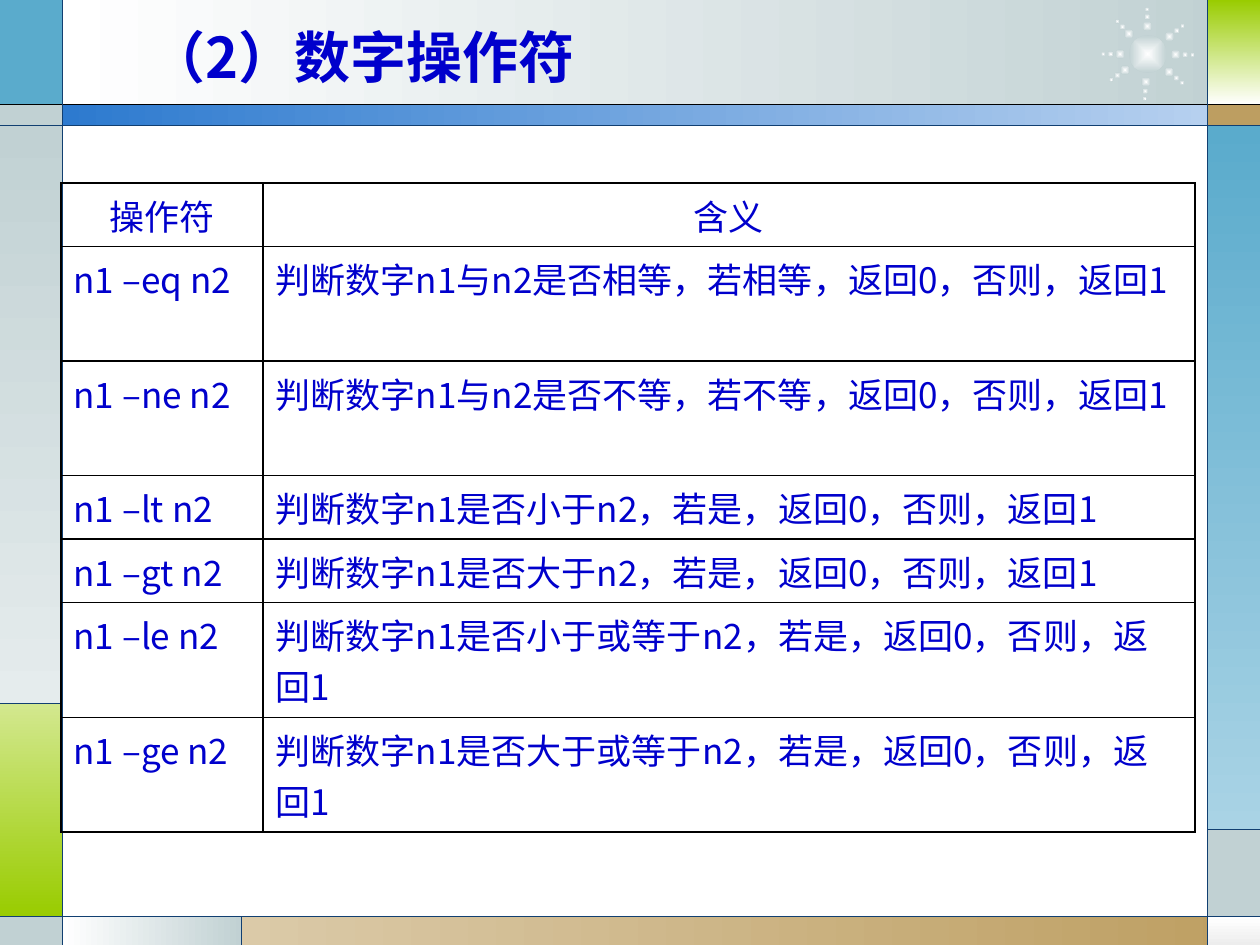
import math
import pptx
import pptx.dml.color
import pptx.enum.shapes
import pptx.enum.text
import pptx.oxml
import pptx.oxml.ns
import pptx.util
from pptx.util import Cm

qn = pptx.oxml.ns.qn
RGB = pptx.dml.color.RGBColor.from_string
KIND = pptx.enum.shapes.MSO_SHAPE
ALIGN = pptx.enum.text.PP_ALIGN

THEME = {
    "font": "Noto Sans CJK SC", "head": 32, "body": 20,
    "ink": "0000CC", "rule": "113F71", "black": "000000", "white": "FFFFFF",
    "grey": "C1D1D3", "mist": "E5ECED", "pale": "EDEDED",
    "teal": "5AABCC", "sky": "A9D3E5", "blue": "2D7ACF", "ice": "B6D0EF",
    "lime": "99CC00", "leaf": "D3E88F", "tan": "BD9E61", "sand": "DBCAA8",
}


def write(frame, text, size="body", bold=False, align=ALIGN.LEFT):
    """Put one line of styled text into a text frame."""
    para = frame.paragraphs[0]
    para.alignment = align
    run = para.add_run()
    run.text = text
    font = run.font
    font.size, font.bold = pptx.util.Pt(THEME[size]), bold
    font.name = THEME["font"]
    font.color.rgb = RGB(THEME["ink"])
    east = pptx.oxml.parse_xml(
        f'<a:ea {pptx.oxml.ns.nsdecls("a")} typeface="{THEME["font"]}"/>')
    run._r.get_or_add_rPr().append(east)


def paint(shapes, kind, box, tones, turn=0):
    """Add a borderless shape with a plain fill or a two-tone gradient."""
    shape = shapes.add_shape(kind, *[Cm(n) for n in box])
    shape.shadow.inherit = False
    shape.line.fill.background()
    if len(tones) == 1:
        shape.fill.solid()
        shape.fill.fore_color.rgb = RGB(THEME[tones[0]])
        return shape
    shape.fill.gradient()
    shape.fill.gradient_angle = -turn % 360
    for stop, tone in zip(shape.fill.gradient_stops, tones):
        stop.color.rgb = RGB(THEME[tone])
    return shape


deck = pptx.Presentation()
deck.slide_width, deck.slide_height = Cm(25.4), Cm(19.05)
slide = deck.slides.add_slide(deck.slide_layouts[6])

# Frame grid: main edges of the page
WIDE, TALL = 25.4, 19.05
LEFT, RIGHT = 1.26, 24.34
TOP, BAND, FOOT = 2.11, 2.53, 18.47
LOW, DEEP, STEP = 14.18, 16.72, 4.87

# Frame blocks: left, top, right, bottom, tones, gradient turn
blocks = [
    (LEFT, 0, 24.82, TOP, ["white", "grey"], 0),
    (0, 0, LEFT, TOP, ["teal"], 0),
    (0, TOP, LEFT, BAND, ["grey"], 0),
    (0, BAND, LEFT, LOW, ["grey", "mist"], 90),
    (0, LOW, LEFT, FOOT, ["leaf", "lime"], 90),
    (0, FOOT, LEFT, TALL, ["grey"], 0),
    (LEFT, FOOT, STEP, TALL, ["white", "grey"], 0),
    (STEP, FOOT, WIDE, TALL, ["sand", "tan"], 0),
    (RIGHT, FOOT, WIDE, TALL, ["white", "pale"], 90),
    (RIGHT, DEEP, WIDE, FOOT, ["grey"], 0),
    (RIGHT, BAND, WIDE, DEEP, ["teal", "sky"], 90),
    (RIGHT, TOP, WIDE, BAND, ["tan"], 0),
    (RIGHT, 0, WIDE, TOP, ["lime", "white"], 90),
    (LEFT, TOP, RIGHT, BAND, ["blue", "ice"], 0),
]
for x1, y1, x2, y2, tones, turn in blocks:
    paint(slide.shapes, KIND.RECTANGLE, (x1, y1, x2 - x1, y2 - y1), tones, turn)

# Sparkle: a core with eight arms of three shrinking dots
midx, midy = 23.14, 1.09
dots = [(midx, midy, 0.76)]
for angle in (40, 1, -39, 94, -91, -133, 180, 145):
    for reach, size in ((0.56, 0.19), (0.75, 0.12), (0.9, 0.09)):
        rad = math.radians(angle)
        dots.append((midx + reach * math.cos(rad),
                     midy + reach * math.sin(rad), size))
spark = slide.shapes.add_group_shape()
for x, y, size in dots:
    box = (x - size / 2, y - size / 2, size, size)
    dot = paint(spark.shapes, KIND.OVAL, box, ["white", "grey"])
    lin = dot._element.spPr.find(".//" + qn("a:lin"))
    lin.getparent().replace(lin, pptx.oxml.parse_xml(
        f'<a:path {pptx.oxml.ns.nsdecls("a")} path="shape"><a:fillToRect '
        'l="50000" t="50000" r="50000" b="50000"/></a:path>'))

# Frame rules
rules = [
    (0, TOP, WIDE, TOP, "black"),
    (0, BAND, WIDE, BAND, "rule"),
    (0, FOOT, WIDE, FOOT, "rule"),
    (LEFT, 0, LEFT, TALL, "rule"),
    (RIGHT, 0, RIGHT, TALL, "rule"),
    (LEFT, LOW, 0, LOW, "rule"),
    (STEP, FOOT, STEP, TALL, "rule"),
    (RIGHT, DEEP, WIDE, DEEP, "rule"),
]
for *ends, tone in rules:
    rule = slide.shapes.add_connector(
        pptx.enum.shapes.MSO_CONNECTOR.STRAIGHT, *[Cm(n) for n in ends])
    rule.line.color.rgb = RGB(THEME[tone])
    rule.line.width = pptx.util.Pt(0.75)
    rule._element.spPr.append(pptx.oxml.parse_xml(
        f'<a:effectLst {pptx.oxml.ns.nsdecls("a")}/>'))

# Title
title = slide.shapes.add_textbox(Cm(2.76), Cm(0.35), Cm(18.62), Cm(1.57))
title.text_frame.word_wrap = True
title.text_frame.vertical_anchor = pptx.enum.text.MSO_ANCHOR.MIDDLE
write(title.text_frame, "（2）数字操作符", size="head", bold=True)

# Table of operators: one-line and two-line rows
ONE, TWO = 1.28, 2.31
rows = [
    ("操作符", "含义", ONE),
    ("n1 –eq n2", "判断数字n1与n2是否相等，若相等，返回0，否则，返回1", TWO),
    ("n1 –ne n2", "判断数字n1与n2是否不等，若不等，返回0，否则，返回1", TWO),
    ("n1 –lt n2", "判断数字n1是否小于n2，若是，返回0，否则，返回1", ONE),
    ("n1 –gt n2", "判断数字n1是否大于n2，若是，返回0，否则，返回1", ONE),
    ("n1 –le n2", "判断数字n1是否小于或等于n2，若是，返回0，否则，返回1", TWO),
    ("n1 –ge n2", "判断数字n1是否大于或等于n2，若是，返回0，否则，返回1", TWO),
]
high = sum(row[-1] for row in rows)
table = slide.shapes.add_table(
    len(rows), 2, Cm(1.23), Cm(3.69), Cm(22.86), Cm(high)).table
table.first_row = table.horz_banding = False
table.columns[0].width, table.columns[1].width = Cm(4.07), Cm(18.79)
for r, (*texts, tall) in enumerate(rows):
    table.rows[r].height = Cm(tall)
    for c, text in enumerate(texts):
        cell = table.cell(r, c)
        cell.fill.background()
        write(cell.text_frame, text, align=ALIGN.LEFT if r else ALIGN.CENTER)
        for n, side in enumerate("LRTB"):
            cell._tc.get_or_add_tcPr().insert(n, pptx.oxml.parse_xml(
                f'<a:ln{side} {pptx.oxml.ns.nsdecls("a")} w="12700"><a:solidFill>'
                f'<a:srgbClr val="{THEME["black"]}"/></a:solidFill></a:ln{side}>'))

deck.save("out.pptx")
